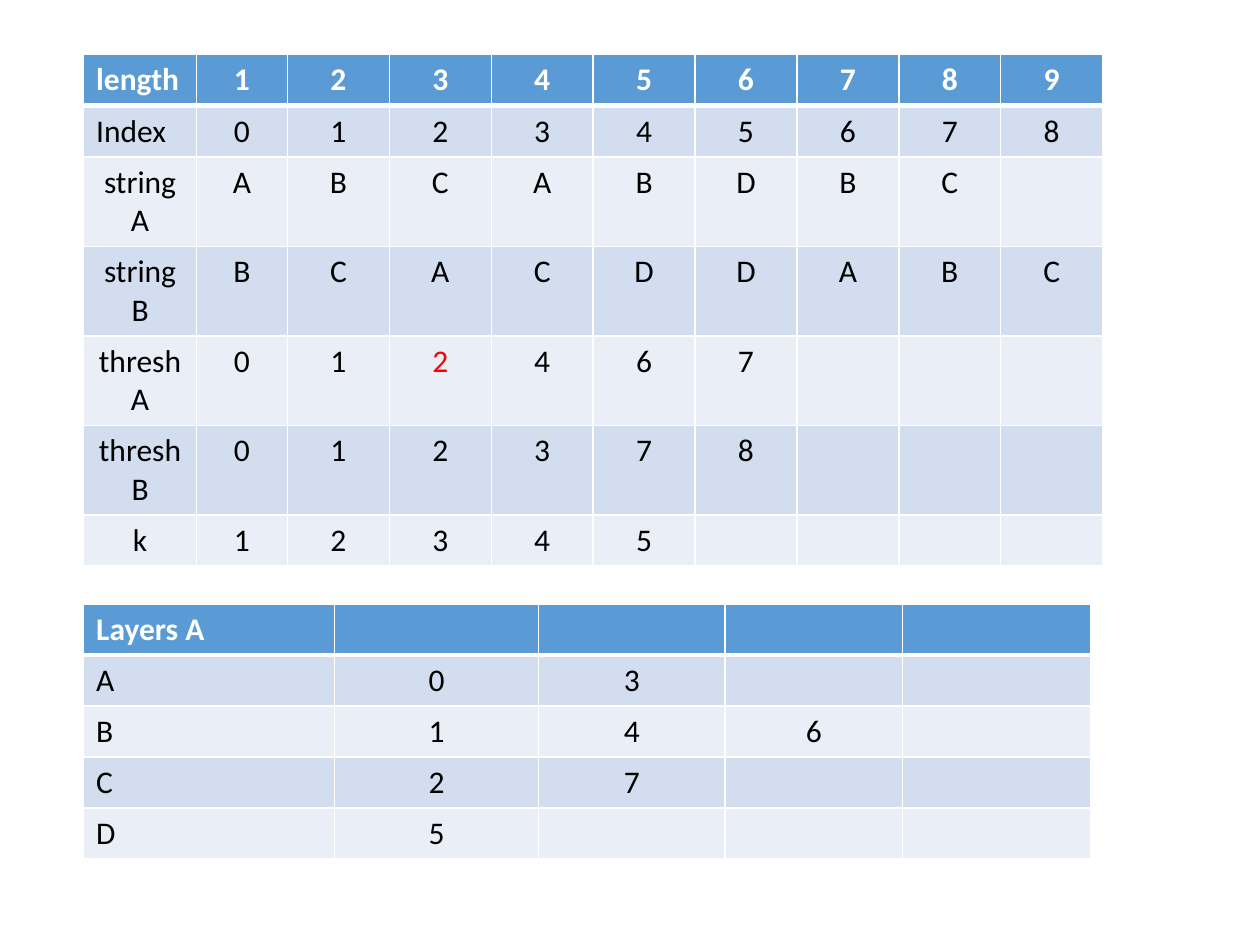
from lxml import etree
from pptx import Presentation
from pptx.dml.color import RGBColor
from pptx.enum.text import PP_ALIGN
from pptx.oxml.ns import qn
from pptx.util import Pt

LEFT, CENTER = PP_ALIGN.LEFT, PP_ALIGN.CENTER
WHITE = RGBColor(0xFF, 0xFF, 0xFF)
BLACK = RGBColor(0, 0, 0)
RED = RGBColor(0xFF, 0, 0)
HEADER = RGBColor(0x5B, 0x9B, 0xD5)
BANDS = [RGBColor(0xEA, 0xEF, 0xF7), RGBColor(0xD2, 0xDE, 0xEF)]
ROW_HEIGHT = 29.2


def set_borders(cell, top, bottom):
    tc_pr = cell._tc.get_or_add_tcPr()
    for side, width in (("L", 1), ("R", 1), ("T", top), ("B", bottom)):
        ln = etree.SubElement(tc_pr, qn(f"a:ln{side}"), w=str(Pt(width)))
        fill = etree.SubElement(ln, qn("a:solidFill"))
        etree.SubElement(fill, qn("a:srgbClr"), val=str(WHITE))


def add_grid(slide, top, widths, rows, left_labels):
    """Add a banded table; labels in left_labels are left-aligned."""
    table = slide.shapes.add_table(
        len(rows), len(widths), Pt(47.8), Pt(top),
        Pt(sum(widths)), Pt(ROW_HEIGHT * len(rows))).table
    for column, width in zip(table.columns, widths):
        column.width = Pt(width)
    for i, values in enumerate(rows):
        table.rows[i].height = Pt(ROW_HEIGHT)
        for j in range(len(widths)):
            cell = table.cell(i, j)
            set_borders(cell, 3 if i == 1 else 1, 3 if i == 0 else 1)
            cell.fill.solid()
            cell.fill.fore_color.rgb = BANDS[i % 2] if i else HEADER
            p = cell.text_frame.paragraphs[0]
            if j < len(values):
                p.text = values[j]
            p.alignment = LEFT if j == 0 and values[0] in left_labels else CENTER
            p.font.name = "Calibri"
            p.font.size = Pt(18)
            p.font.bold = i == 0
            p.font.color.rgb = BLACK if i else WHITE
    return table


prs = Presentation()
prs.slide_width, prs.slide_height = Pt(720), Pt(540)
s = prs.slides.add_slide(prs.slide_layouts[6])

# Strings and thresholds
strings = [
    ["length", *"123456789"],
    ["Index", *"012345678"],
    ["stringA", *"ABCABDBC"],
    ["stringB", *"BCACDDABC"],
    ["threshA", *"012467"],
    ["threshB", *"012378"],
    ["k", *"12345"],
]
table = add_grid(s, 31.2, [64.5, 52] + [58.25] * 8, strings, ["length", "Index"])
table.cell(4, 3).text_frame.paragraphs[0].font.color.rgb = RED

# Positions of each letter in string A
layers = [["Layers A"], ["A", *"03"], ["B", *"146"], ["C", *"27"], ["D", "5"]]
add_grid(s, 345, [143.5, 116.5, 106.5, 101.5, 107.3], layers,
         [row[0] for row in layers])

prs.save("out.pptx")
